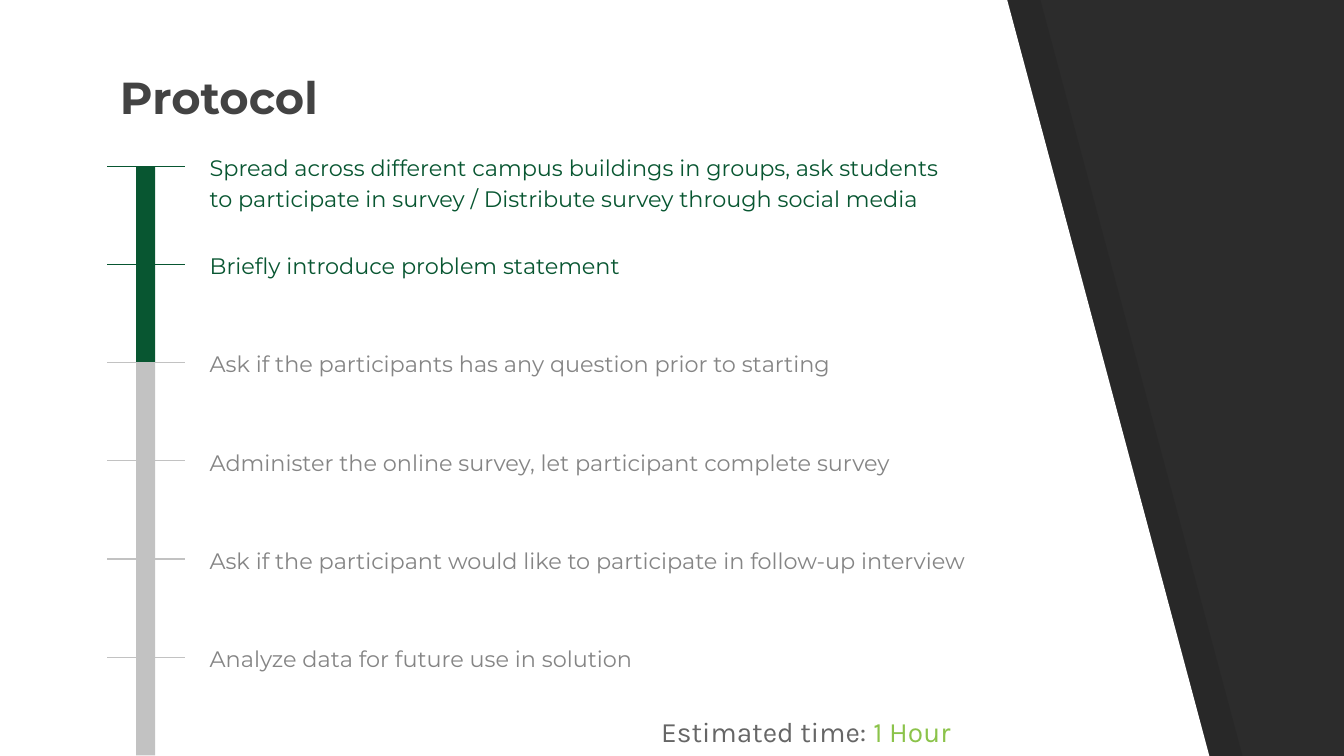
from lxml import etree
from pptx import Presentation
from pptx.dml.color import RGBColor
from pptx.enum.shapes import MSO_CONNECTOR, MSO_SHAPE
from pptx.enum.text import MSO_ANCHOR
from pptx.oxml.ns import qn
from pptx.util import Inches, Pt

# Content: step text, box width, whether the step is done
TITLE = "Protocol"
STEPS = [
    ("Spread across different campus buildings in groups, ask students "
     "to participate in survey / Distribute survey through social media", 7.76, True),
    ("Briefly introduce problem statement", 4.82, True),
    ("Ask if the participants has any question prior to starting", 7.39, False),
    ("Administer the online survey, let participant complete survey", 7.68, False),
    ("Ask if the participant would like to participate in follow-up interview", 8.43, False),
    ("Analyze data for future use in solution", 7.48, False),
]
TIME = ("Estimated time: ", "1 Hour")

# Colours and fonts
DARK = RGBColor(0x2C, 0x2C, 0x2C)
BLACK = RGBColor(0, 0, 0)
WHITE = RGBColor(0xFF, 0xFF, 0xFF)
INK = RGBColor(0x43, 0x43, 0x43)
GREEN = RGBColor(0x08, 0x56, 0x31)
TEXT_GRAY = RGBColor(0x85, 0x85, 0x85)
BAR_GRAY = RGBColor(0xC2, 0xC2, 0xC2)
TIME_GRAY = RGBColor(0x66, 0x66, 0x66)
LIME = RGBColor(0x8B, 0xC3, 0x4A)
SANS = "Montserrat"
KARLA = "Karla"
RECT = MSO_SHAPE.RECTANGLE
STRAIGHT = MSO_CONNECTOR.STRAIGHT
BOTTOM, MIDDLE = MSO_ANCHOR.BOTTOM, MSO_ANCHOR.MIDDLE

# Grid, in inches
WIDE, HIGH = 13.33, 7.5
TOP, PITCH = 1.65, 0.974
TICK_L, TICK_R = 1.06, 1.83
BAR_X, BAR_W = 1.35, 0.19
TEXT_X, TEXT_UP, TEXT_H = 1.95, 0.29, 0.4

prs = Presentation()
prs.slide_width, prs.slide_height = Inches(WIDE), Inches(HIGH)
slide = prs.slides.add_slide(prs.slide_layouts[5])
shapes = slide.shapes


def style(font, size, name, color):
    font.size, font.name = Pt(size), name
    font.color.rgb = color


def frame(shape, inset):
    text = shape.text_frame
    text.word_wrap = True
    text.margin_left = text.margin_right = Inches(inset)
    text.margin_top = text.margin_bottom = Inches(inset)
    return text


def paint(shape, color):
    shape.shadow.inherit = False
    shape.fill.solid()
    shape.fill.fore_color.rgb = color
    shape.line.fill.background()


def panel(left, color):
    points = [(0, -0.02), (0, 7.52), (12, 7.52), (9.99, 0)]
    spots = [(Inches(left + x), Inches(y)) for x, y in points]
    path = shapes.build_freeform(*spots[0])
    path.add_line_segments(spots[1:])
    shape = path.convert_to_shape()
    paint(shape, color)
    return shape


# Dark backdrop, slanted shade and white panel
slide.background.fill.solid()
slide.background.fill.fore_color.rgb = DARK
shade = panel(0.33, BLACK)
tint = shade._element.spPr.find(qn("a:solidFill"))[0]
etree.SubElement(tint, qn("a:alpha")).set("val", "7000")
panel(0, WHITE)

# Title, brought in front of the panels
title = shapes.title
shapes._spTree.append(title._element)
title.left, title.top = Inches(1.06), Inches(0.65)
title.width, title.height = Inches(7.76), Inches(0.71)
text = frame(title, 0.13)
text.vertical_anchor = BOTTOM
text.text = TITLE
para = text.paragraphs[0]
para.alignment = 1
style(para.font, 32, SANS, INK)
para.font.bold = True

# Timeline: one label, bar and tick per step
for i, (words, width, done) in enumerate(STEPS):
    y = TOP + i * PITCH
    box = shapes.add_textbox(Inches(TEXT_X), Inches(y - TEXT_UP),
                             Inches(width), Inches(TEXT_H))
    text = frame(box, 0.13)
    text.text = words
    para = text.paragraphs[0]
    para.line_spacing = 1.15
    style(para.font, 16, SANS, GREEN if done else TEXT_GRAY)

    color = GREEN if done else BAR_GRAY
    bar = shapes.add_shape(RECT, Inches(BAR_X), Inches(y),
                           Inches(BAR_W), Inches(PITCH))
    paint(bar, color)
    tick = shapes.add_connector(STRAIGHT, Inches(TICK_R), Inches(y),
                                Inches(TICK_L), Inches(y))
    tick.line.color.rgb = color
    tick.line.width = Pt(0.75)
    etree.SubElement(tick._element.spPr, qn("a:effectLst"))

# Estimated time
box = shapes.add_textbox(Inches(6.46), Inches(5.59), Inches(3.28), Inches(3.28))
text = frame(box, 0.1)
text.vertical_anchor = MIDDLE
para = text.paragraphs[0]
para.line_spacing = 1.15
for words, color in zip(TIME, (TIME_GRAY, LIME)):
    run = para.add_run()
    run.text = words
    style(run.font, 20, KARLA, color)

prs.save("out.pptx")
